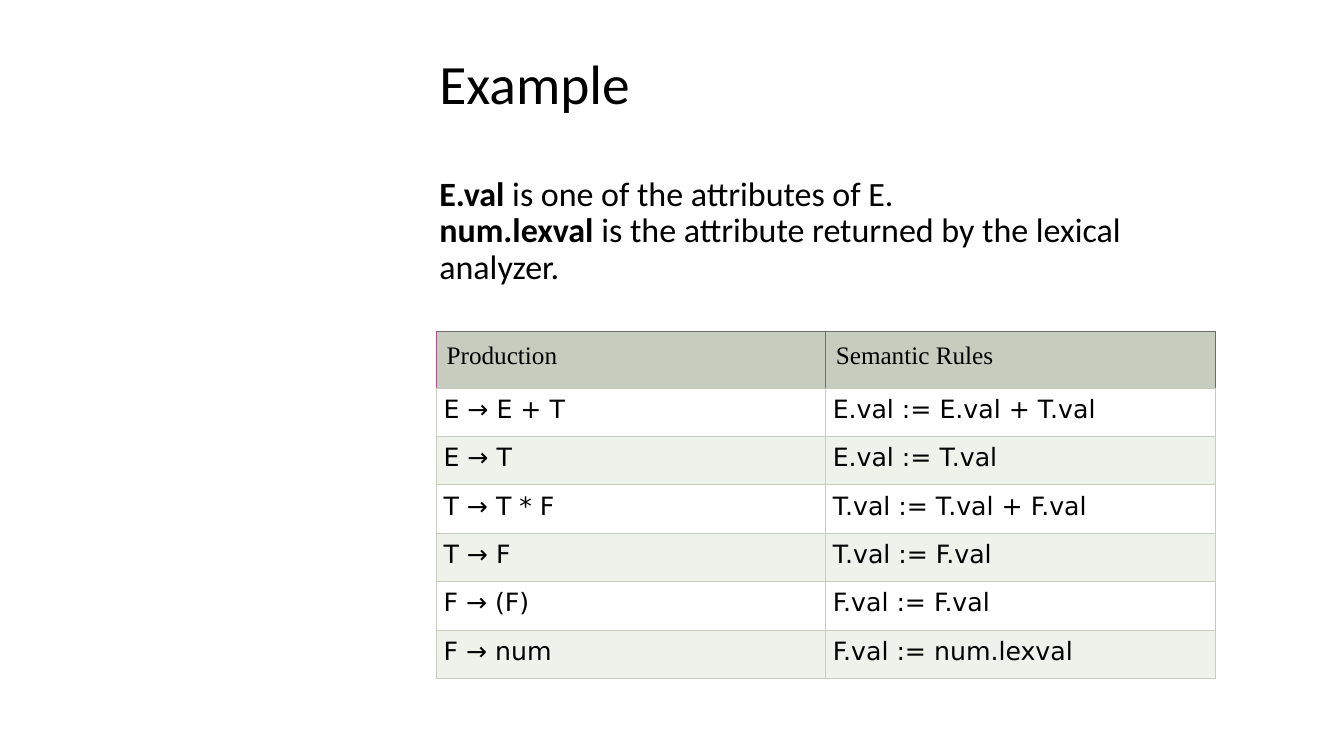
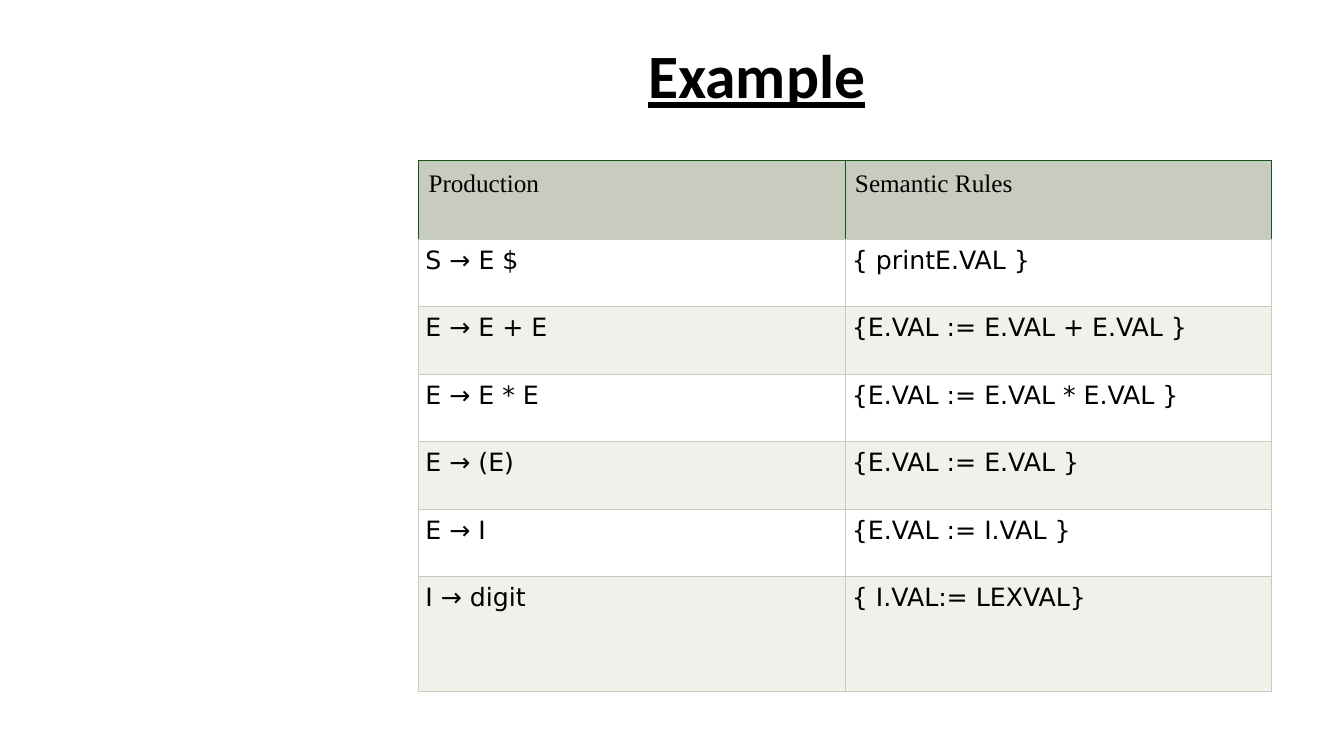
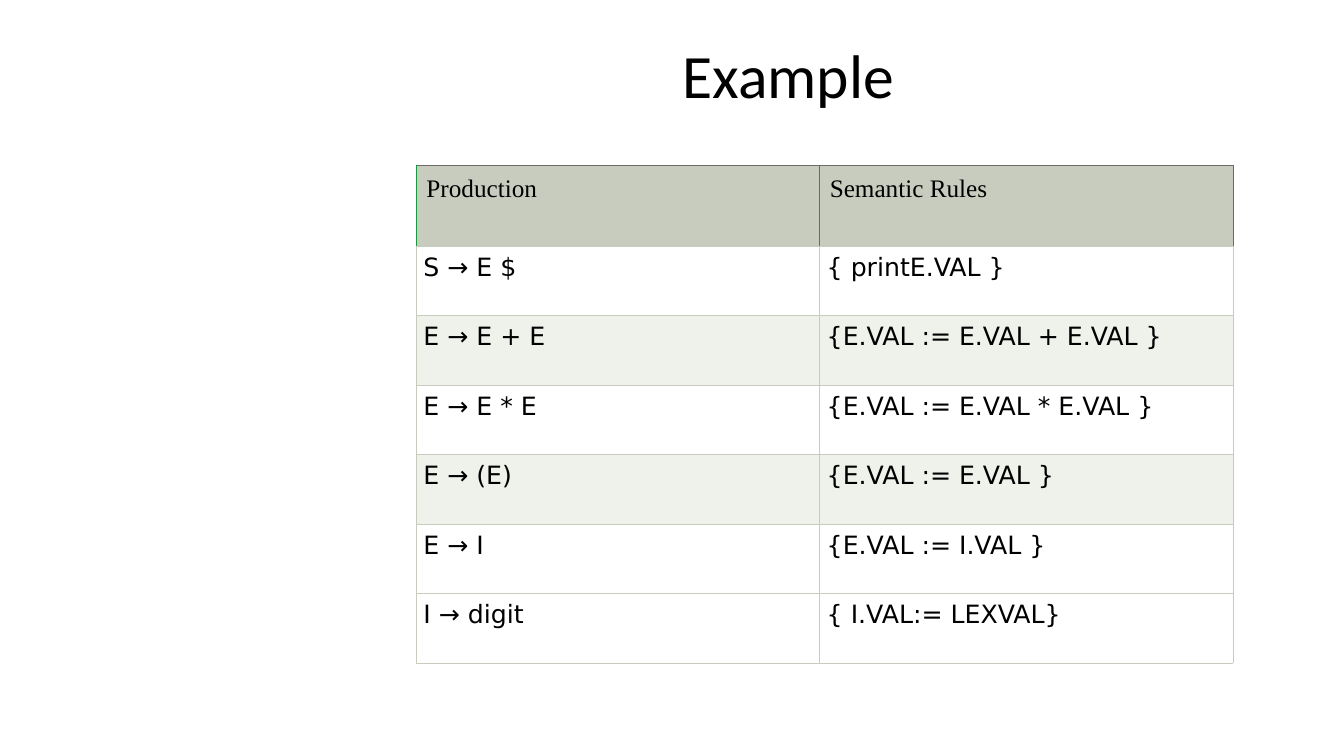
import dataclasses

import pptx
import pptx.dml.color
import pptx.enum.text
import pptx.oxml.ns
import pptx.util
from lxml import etree

Inches = pptx.util.Inches
Pt = pptx.util.Pt
Anchor = pptx.enum.text.MSO_ANCHOR


@dataclasses.dataclass(frozen=True)
class Theme:
    ink: str = "000000"
    paper: str = "FFFFFF"
    header: str = "C7CCBE"
    band: str = "EFF1EB"
    edge: str = "6B6B6B"
    pink: str = "A8508B"
    forest: str = "185317"
    green: str = "189A3C"
    title_font: str = "Calibri"
    header_font: str = "Times New Roman"
    body_font: str = "DejaVu Sans"
    title_size: float = 44
    lead_title_size: float = 39.6
    lead_size: float = 24.3
    table_size: float = 18
    border: float = 0.6
    line_spacing: float = 0.9


THEME = Theme()
HEADINGS = ("Production", "Semantic Rules")
EXPRESSION_RULES = [
    ("S → E $", "{ printE.VAL }"),
    ("E → E + E", "{E.VAL := E.VAL + E.VAL }"),
    ("E → E * E", "{E.VAL := E.VAL * E.VAL }"),
    ("E → (E)", "{E.VAL := E.VAL }"),
    ("E → I", "{E.VAL := I.VAL }"),
    ("I → digit", "{ I.VAL:= LEXVAL}"),
]
VALUE_RULES = [
    ("E → E + T", "E.val := E.val + T.val"),
    ("E → T", "E.val := T.val"),
    ("T → T * F", "T.val := T.val + F.val"),
    ("T → F", "T.val := F.val"),
    ("F → (F)", "F.val := F.val"),
    ("F → num", "F.val := num.lexval"),
]


def set_all(target, values):
    for name, value in values.items():
        setattr(target, name, value)


def add_run(paragraph, text, font, size, **styles):
    run = paragraph.add_run()
    run.text = text
    set_all(run.font, {"name": font, "size": Pt(size), **styles})
    run.font.color.rgb = pptx.dml.color.RGBColor.from_string(THEME.ink)


# Title block: a heading, then optional paragraphs of (term, explanation)
def add_title(slide, box, size, lead=(), anchor=Anchor.TOP, gap=0, **styles):
    frame = slide.shapes.add_textbox(*map(Inches, box)).text_frame
    set_all(frame, {"word_wrap": True, "vertical_anchor": anchor})
    heading = frame.paragraphs[0]
    set_all(heading, {"line_spacing": THEME.line_spacing, "space_after": Pt(gap)})
    add_run(heading, "Example", THEME.title_font, size, **styles)
    for term, explanation in lead:
        paragraph = frame.add_paragraph()
        paragraph.line_spacing = THEME.line_spacing
        add_run(paragraph, term, THEME.title_font, THEME.lead_size, bold=True)
        add_run(paragraph, explanation, THEME.title_font, THEME.lead_size)


# Cell borders, in the order left, right, top, bottom
def set_borders(cell, colours):
    properties = cell._tc.get_or_add_tcPr()
    for side, colour in zip("LRTB", colours):
        line = etree.SubElement(properties, pptx.oxml.ns.qn(f"a:ln{side}"),
                                w=str(int(Pt(THEME.border))))
        fill = etree.SubElement(line, pptx.oxml.ns.qn("a:solidFill"))
        etree.SubElement(fill, pptx.oxml.ns.qn("a:srgbClr"), val=colour)


def fill_cell(cell, text, font, margin, fill, borders):
    set_borders(cell, borders)
    cell.fill.solid()
    cell.fill.fore_color.rgb = pptx.dml.color.RGBColor.from_string(fill)
    set_all(cell, {f"margin_{side}": Inches(margin)
                   for side in ("left", "right", "top", "bottom")})
    add_run(cell.text_frame.paragraphs[0], text, font, THEME.table_size)


# Rules table: header row with coloured uprights, then banded rows
def add_rules(slide, box, rules, columns, heights, uprights, last_band=6):
    table = slide.shapes.add_table(len(rules) + 1, len(HEADINGS),
                                   *map(Inches, box)).table
    set_all(table, {"first_row": False, "horz_banding": False})
    for column, width in zip(table.columns, columns):
        column.width = Inches(width)
    for row, height in zip(table.rows, heights):
        row.height = Inches(height)
    for index, heading in enumerate(HEADINGS):
        fill_cell(table.cell(0, index), heading, THEME.header_font, 0.1, THEME.header,
                  (uprights[index], uprights[index + 1], uprights[-1], THEME.header))
    for number, rule in enumerate(rules, 1):
        banded = number % 2 == 0 and number <= last_band
        for index, text in enumerate(rule):
            fill_cell(table.cell(number, index), text, THEME.body_font, 0.07,
                      THEME.band if banded else THEME.paper, [THEME.header] * 4)


def add_slide(presentation, title, rules):
    slide = presentation.slides.add_slide(presentation.slide_layouts[6])
    add_title(slide, **title)
    add_rules(slide, **rules)


presentation = pptx.Presentation()
set_all(presentation, {"slide_width": Inches(13.33), "slide_height": Inches(7.5)})

# Attributes of E, with an introduction
add_slide(
    presentation,
    dict(box=(4.26, 1.56, 8.15, 0.29), size=THEME.lead_title_size,
         anchor=Anchor.MIDDLE, gap=43,
         lead=[("E.val", "\u00a0is one of the attributes of E."),
               ("num.lexval",
                "\u00a0is the attribute returned by the lexical analyzer.")]),
    dict(box=(4.33, 3.29, 7.73, 3.46), rules=VALUE_RULES, columns=(3.86, 3.86),
         heights=[0.56] + [0.48] * 6, uprights=(THEME.pink, THEME.pink, THEME.edge)))

# Expression rules, with a strong title
add_slide(
    presentation,
    dict(box=(6.33, 0.4, 6.09, 1.45), size=THEME.title_size, bold=True, underline=True),
    dict(box=(4.15, 1.59, 8.46, 5.28), rules=EXPRESSION_RULES, columns=(4.23, 4.23),
         heights=[0.78] + [0.67] * 5 + [1.14], uprights=[THEME.forest] * 3))

# Expression rules, with a plain title
add_slide(
    presentation,
    dict(box=(6.67, 0.4, 5.75, 1.45), size=THEME.title_size),
    dict(box=(4.13, 1.64, 8.11, 4.97), rules=EXPRESSION_RULES, columns=(4, 4.1),
         heights=[0.8] + [0.69] * 6, uprights=(THEME.green, THEME.edge, THEME.edge),
         last_band=4))

presentation.save("out.pptx")
